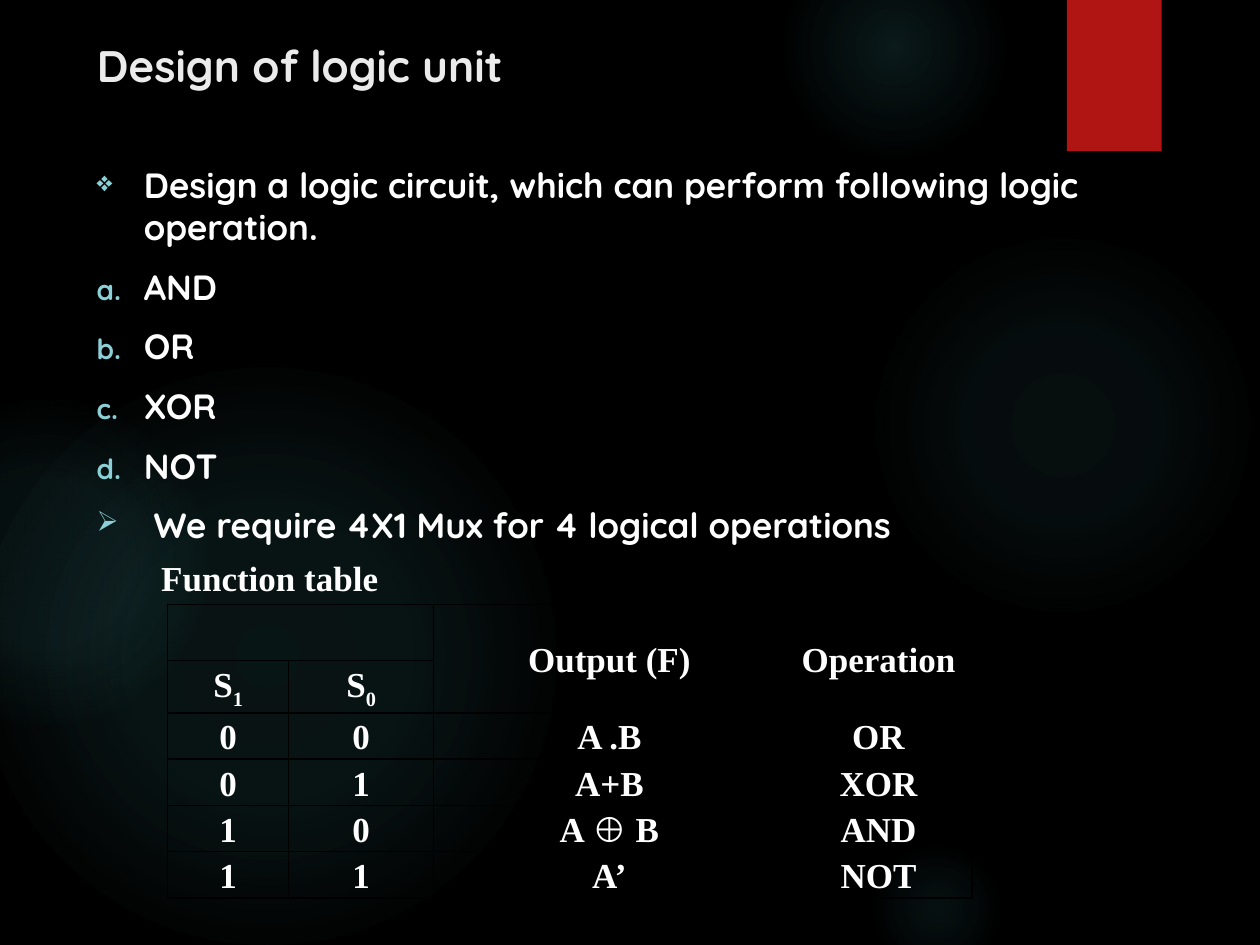
import pptx
import pptx.util
import pptx.dml.color
import pptx.enum.shapes
import pptx.enum.text
import pptx.oxml
import pptx.oxml.ns
from dataclasses import dataclass

Cm = pptx.util.Cm
Pt = pptx.util.Pt
qn = pptx.oxml.ns.qn
MIDDLE = pptx.enum.text.MSO_ANCHOR.MIDDLE
A_NS = pptx.oxml.ns.nsdecls("a")


@dataclass(frozen=True)
class Theme:
    background: str = "000000"
    glow: str = "50B9C1"
    ribbon: str = "B01513"
    title: str = "EBEBEB"
    text: str = "FFFFFF"
    bullet: str = "8AD0D6"
    border: str = "000000"
    heading_font: str = "Quicksand"
    table_font: str = "Times New Roman"
    title_size: float = 25.2
    text_size: float = 20


theme = Theme()


def rgb(color):
    return pptx.dml.color.RGBColor.from_string(color)


def add_run(paragraph, text, font_name, size=theme.text_size, color=theme.text):
    run = paragraph.add_run()
    run.text = text
    run.font.name = font_name
    run.font.size = Pt(size)
    run.font.bold = True
    run.font.color.rgb = rgb(color)
    return run


presentation = pptx.Presentation()
presentation.slide_width = Cm(25.4)
presentation.slide_height = Cm(19.05)
slide = presentation.slides.add_slide(presentation.slide_layouts[5])
slide.background.fill.solid()
slide.background.fill.fore_color.rgb = rgb(theme.background)

# Background glows: left, top, diameter, then (position, opacity) stops in percent
glows = [
    (17.5, 4.65, 7.82, [(0, 7), (36, 6), (69, 0)]),
    (15.8, -1.27, 4.45, [(0, 14), (36, 7), (73, 0)]),
    (17.5, 16.94, 2.74, [(0, 9), (36, 5), (66, 0)]),
    (-0.43, 7.42, 11.63, [(0, 11), (36, 10), (75, 0)]),
    (-2.34, 8.05, 6.55, [(0, 8), (36, 8), (72, 0)]),
]
for left, top, diameter, stops in glows:
    shape = slide.shapes.add_shape(pptx.enum.shapes.MSO_SHAPE.OVAL,
                                   Cm(left), Cm(top), Cm(diameter), Cm(diameter))
    shape.shadow.inherit = False
    shape.line.fill.background()
    shape.fill.background()
    stop_xml = "".join(
        f'<a:gs pos="{position * 1000}"><a:srgbClr val="{theme.glow}">'
        f'<a:alpha val="{opacity * 1000}"/></a:srgbClr></a:gs>'
        for position, opacity in stops)
    gradient = pptx.oxml.parse_xml(
        f'<a:gradFill {A_NS} rotWithShape="1"><a:gsLst>{stop_xml}</a:gsLst>'
        '<a:path path="circle"><a:fillToRect l="50000" t="50000" r="50000" b="50000"/>'
        '</a:path></a:gradFill>')
    properties = shape._element.spPr
    properties.replace(properties.find(qn("a:noFill")), gradient)

ribbon = slide.shapes.add_shape(pptx.enum.shapes.MSO_SHAPE.RECTANGLE,
                                Cm(21.51), Cm(0), Cm(1.91), Cm(3.05))
ribbon.shadow.inherit = False
ribbon.line.fill.background()
ribbon.fill.solid()
ribbon.fill.fore_color.rgb = rgb(theme.ribbon)

# Title, brought in front of the background shapes
title = slide.shapes.title
slide.shapes._spTree.append(title._element)
title.left, title.top, title.width, title.height = Cm(1.7), Cm(0.64), Cm(22.22), Cm(1.63)
title.text_frame.vertical_anchor = pptx.enum.text.MSO_ANCHOR.TOP
title_paragraph = title.text_frame.paragraphs[0]
title_paragraph.alignment = pptx.enum.text.PP_ALIGN.LEFT
add_run(title_paragraph, "Design of logic unit", theme.heading_font,
        theme.title_size, theme.title)

# Bulleted body
diamond, arrow = '<a:buChar {} char="❖"/>', '<a:buChar {} char="➢"/>'
letter = '<a:buAutoNum {} type="alphaLcPeriod"/>'
body_lines = [
    (diamond, "Design a logic circuit, which can perform following logic operation."),
    (letter, "AND"),
    (letter, "OR"),
    (letter, "XOR"),
    (letter, "NOT"),
    (arrow, " We require 4X1 Mux for 4 logical operations"),
]
body = slide.shapes.add_textbox(Cm(1.7), Cm(3.18), Cm(22.02), Cm(15.24)).text_frame
body.word_wrap = True
for index, (bullet, text) in enumerate(body_lines):
    paragraph = body.add_paragraph() if index else body.paragraphs[0]
    paragraph.space_before = Pt(10)
    properties = paragraph._p.get_or_add_pPr()
    properties.set("marL", str(Cm(0.95)))
    properties.set("indent", str(Cm(-0.95)))
    for xml in (f'<a:buClr {A_NS}><a:srgbClr val="{theme.bullet}"/></a:buClr>',
                f'<a:buSzPct {A_NS} val="80000"/>', bullet.format(A_NS)):
        properties.append(pptx.oxml.parse_xml(xml))
    add_run(paragraph, text, theme.heading_font)

# Function table
column_widths = [2.44, 2.92, 7.09, 3.76]
row_heights = [1.12] + [0.89] * 5
rows = [
    ["", "", "Output (F)", "Operation"],
    ["S1", "S0", "", ""],
    ["0", "0", "A .B", "OR"],
    ["0", "1", "A+B", "XOR"],
    ["1", "0", "A ⊕ B", "AND"],
    ["1", "1", "A’", "NOT"],
]
table = slide.shapes.add_table(len(rows), len(column_widths), Cm(3.38), Cm(12.19),
                               Cm(sum(column_widths)), Cm(sum(row_heights))).table
table.first_row = False
table.horz_banding = False
for column, width in zip(table.columns, column_widths):
    column.width = Cm(width)
for row, height in zip(table.rows, row_heights):
    row.height = Cm(height)

for row_index, row in enumerate(rows):
    for column_index, text in enumerate(row):
        cell = table.cell(row_index, column_index)
        cell.fill.background()
        for position, side in enumerate(("lnL", "lnR", "lnT", "lnB")):
            cell._tc.get_or_add_tcPr().insert(position, pptx.oxml.parse_xml(
                f'<a:{side} {A_NS} w="{Pt(1)}"><a:solidFill>'
                f'<a:srgbClr val="{theme.border}"/></a:solidFill></a:{side}>'))
        if not text:
            continue
        cell.vertical_anchor = MIDDLE
        cell.margin_left = cell.margin_right = Cm(0.05)
        cell.margin_top = cell.margin_bottom = 0
        paragraph = cell.text_frame.paragraphs[0]
        paragraph.alignment = pptx.enum.text.PP_ALIGN.CENTER
        paragraph.line_spacing = 1.1
        paragraph.space_before = Pt(4)
        if row_index == 1:
            add_run(paragraph, text[0], theme.table_font)
            subscript = add_run(paragraph, text[1], theme.table_font)
            subscript.font._element.set("baseline", "-25000")
        else:
            add_run(paragraph, text, theme.table_font)

table.cell(0, 0).merge(table.cell(0, 1))
for column_index in (2, 3):
    table.cell(0, column_index).merge(table.cell(1, column_index))

# Table caption, resting on the table's top edge
caption = slide.shapes.add_textbox(Cm(2.01), Cm(9.98), Cm(5.94), Cm(2.21)).text_frame
caption.word_wrap = True
caption.vertical_anchor = pptx.enum.text.MSO_ANCHOR.BOTTOM
caption.margin_left = Cm(1.24)
caption.margin_right = 0
caption.paragraphs[0].line_spacing = 1.1
add_run(caption.paragraphs[0], "Function table", theme.table_font)

presentation.save("out.pptx")
